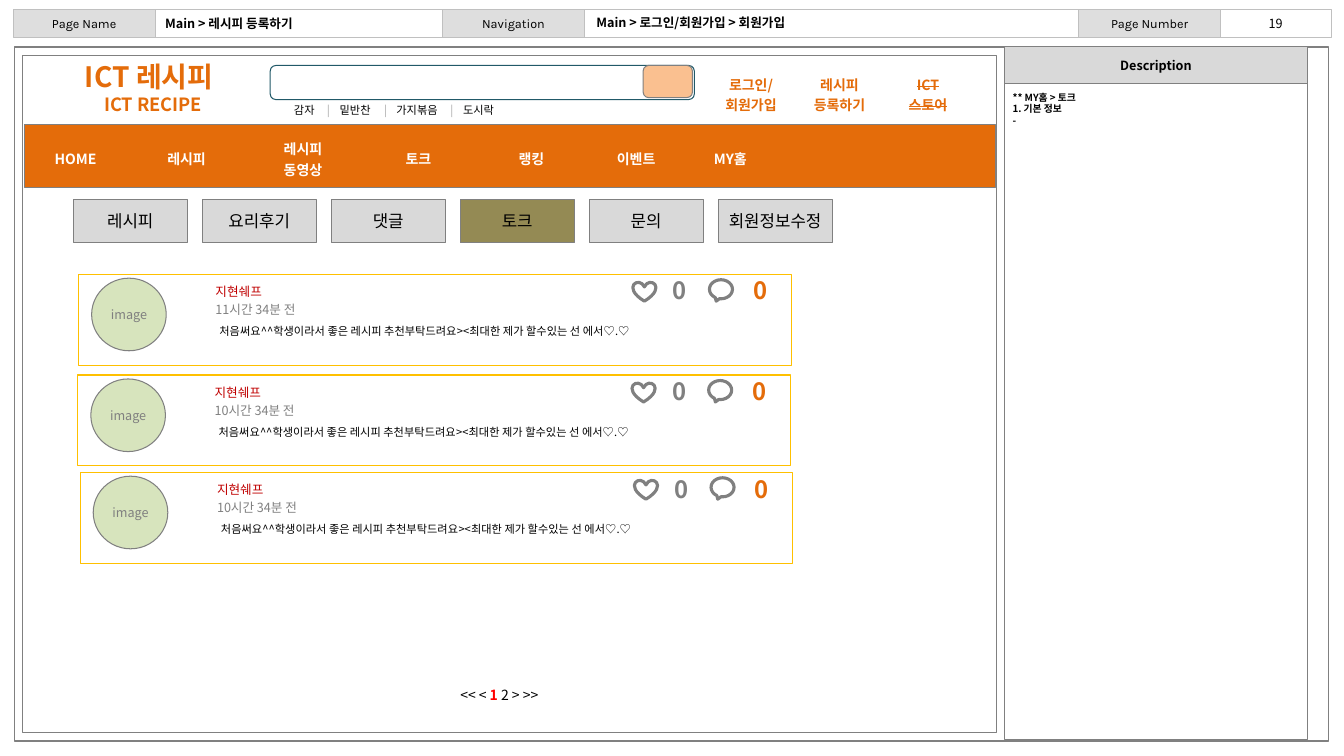
from lxml.etree import SubElement
from pptx import Presentation
from pptx.dml.color import RGBColor
from pptx.enum.shapes import MSO_SHAPE as Geometry
from pptx.enum.text import MSO_ANCHOR as Anchor, MSO_AUTO_SIZE as AutoSize, PP_ALIGN as Align
from pptx.oxml.ns import qn
from pptx.util import Cm, Pt

BLACK = RGBColor(0x00, 0x00, 0x00)
WHITE = RGBColor(0xFF, 0xFF, 0xFF)
GRAY = RGBColor(0x80, 0x80, 0x80)
SILVER = RGBColor(0xC0, 0xC0, 0xC0)
DIVIDER = RGBColor(0xA6, 0xA6, 0xA6)
LABEL_GRAY = RGBColor(0xDE, 0xDE, 0xDE)
BUTTON_GRAY = RGBColor(0xD9, 0xD9, 0xD9)
ORANGE = RGBColor(0xE4, 0x6C, 0x0A)
PEACH = RGBColor(0xFA, 0xC0, 0x90)
TEAL = RGBColor(0x21, 0x59, 0x68)
OLIVE = RGBColor(0x94, 0x8A, 0x54)
GOLD = RGBColor(0xFF, 0xC0, 0x00)
LIGHT_GREEN = RGBColor(0xD7, 0xE4, 0xBD)
DARK_RED = RGBColor(0xC0, 0x00, 0x00)
RED = RGBColor(0xFF, 0x00, 0x00)
KOREAN_FONT = "Noto Sans CJK KR"
LABEL_FONT = "Karla"
NO_TABLE_STYLE = "{2D5ABB26-0587-4C30-8999-92F81FD0307C}"


def add_box(shapes, geometry, at, fill=None, line=None, weight=0.75, anchor=Anchor.MIDDLE, tight=True):
    place = [Cm(length) for length in at]
    if geometry is None:
        box = shapes.add_textbox(*place)
    else:
        box = shapes.add_shape(geometry, *place)
        box.shadow.inherit = False
        if fill is None:
            box.fill.background()
        else:
            box.fill.solid()
            box.fill.fore_color.rgb = fill
        box.line.color.rgb = line
        box.line.width = Pt(weight)
    frame = box.text_frame
    frame.word_wrap = True
    frame.vertical_anchor = anchor
    if tight:
        frame.margin_left = frame.margin_right = Cm(0.1)
        frame.margin_top = frame.margin_bottom = 0
    return frame


def write(frame, lines, size, color=BLACK, bold=False, align=Align.LEFT, font=KOREAN_FONT):
    for index, line in enumerate(lines):
        paragraph = frame.paragraphs[0] if index == 0 else frame.add_paragraph()
        paragraph.alignment = align
        for text, run_color, run_bold in [(line, color, bold)] if isinstance(line, str) else line:
            run = paragraph.add_run()
            run.text = text
            run.font.size = Pt(size)
            run.font.bold = run_bold
            run.font.color.rgb = run_color
            run.font.name = font
            SubElement(run.font._element, qn("a:ea")).set("typeface", font)


deck = Presentation()
deck.slide_width, deck.slide_height = Cm(33.87), Cm(19.05)
slide = deck.slides.add_slide(deck.slide_layouts[5])
shapes = slide.shapes

add_box(shapes, Geometry.RECTANGLE, (0.36, 1.19, 33.12, 17.48), line=GRAY, weight=1)
add_box(shapes, Geometry.RECTANGLE, (0.41, 0.23, 33.15, 0.71), line=SILVER)
for left, label in [(0.33, "Page Name"), (11.15, "Navigation"), (27.18, "Page Number")]:
    label_box = add_box(shapes, Geometry.RECTANGLE, (left, 0.23, 3.58, 0.71), LABEL_GRAY, SILVER)
    write(label_box, [label], 9, align=Align.CENTER, font=LABEL_FONT)
page_number = add_box(shapes, None, (30.78, 0.28, 2.74, 0.64), anchor=Anchor.TOP, tight=False)
write(page_number, ["19"], 9, align=Align.CENTER)

title = shapes.title
title.left, title.top, title.width, title.height = Cm(3.91), Cm(0.25), Cm(7.24), Cm(0.69)
title.text_frame.auto_size = AutoSize.NONE
title.text_frame.vertical_anchor = Anchor.MIDDLE
write(title.text_frame, ["Main > 레시피 등록하기"], 9, bold=True)
breadcrumb = add_box(shapes, None, (14.78, 0.23, 7.24, 0.69), tight=False)
write(breadcrumb, ["Main > 로그인/회원가입 > 회원가입"], 9, bold=True)

add_box(shapes, Geometry.RECTANGLE, (0.58, 1.4, 24.54, 17.07), line=GRAY)
add_box(shapes, Geometry.RECTANGLE, (25.32, 1.19, 7.62, 17.45), line=GRAY)
description = add_box(shapes, Geometry.RECTANGLE, (25.32, 1.17, 7.62, 0.94), BUTTON_GRAY, GRAY)
write(description, ["Description"], 9, bold=True, align=Align.CENTER)
notes = add_box(shapes, None, (25.27, 2.18, 7.62, 9.83), anchor=Anchor.TOP, tight=False)
write(notes, ["** MY홈 > 토크", "1. 기본 정보", "-"], 7, bold=True)
for note in notes.paragraphs:
    indents = note._p.get_or_add_pPr()
    indents.set("marL", str(Cm(0.64)))
    indents.set("indent", str(-Cm(0.64)))

add_box(shapes, Geometry.RECTANGLE, (0.61, 3.15, 24.49, 1.57), ORANGE, GRAY)
site_name = add_box(shapes, None, (1.32, 1.42, 4.88, 1.55))
write(site_name, ["ICT 레시피", "ICT RECIPE"], 20, ORANGE, True, Align.CENTER)
tagline = site_name.paragraphs[1]
tagline.runs[0].font.size = Pt(13)
tagline._p.get_or_add_pPr().set("marL", str(Cm(0.2)))

add_box(shapes, Geometry.ROUNDED_RECTANGLE, (6.81, 1.65, 10.69, 0.86), WHITE, TEAL)
add_box(shapes, Geometry.ROUNDED_RECTANGLE, (16.21, 1.65, 1.24, 0.81), PEACH, GRAY)

menu = [["HOME"], ["레시피"], ["레시피", "동영상"], ["토크"], ["랭킹"], ["이벤트"], ["MY홈"]]
account_links = [["로그인/", "회원가입"], ["레시피", "등록하기"], ["ICT", "스토어"]]
for entries, left, top, widths, height, color, anchor in [
    (menu, 0.61, 3.23, [2.59, 3, 2.87, 2.95, 2.74, 2.54, 2.21], 1.55, WHITE, Anchor.MIDDLE),
    (account_links, 17.81, 1.75, [2.23] * 3, 1.09, ORANGE, Anchor.TOP),
]:
    table = shapes.add_table(1, len(entries), Cm(left), Cm(top), Cm(sum(widths)), Cm(height)).table
    table.first_row = table.horz_banding = False
    table._tbl.tblPr.find(qn("a:tableStyleId")).text = NO_TABLE_STYLE
    for column, width, cell, entry in zip(table.columns, widths, table.iter_cells(), entries):
        column.width = Cm(width)
        cell.fill.background()
        cell.vertical_anchor = anchor
        write(cell.text_frame, entry, 10, color, True, Align.CENTER)
for paragraph in table.cell(0, 2).text_frame.paragraphs:
    paragraph.runs[0].font._element.set("strike", "sngStrike")

keywords = add_box(shapes, None, (7.16, 2.49, 9.4, 0.61), anchor=Anchor.TOP, tight=False)
keyword_runs = [("감자", BLACK, False)]
for keyword in ["밑반찬", "가지볶음", "도시락"]:
    keyword_runs += [("\t|", DIVIDER, False), ("\t" + keyword, BLACK, False)]
write(keywords, [keyword_runs], 8)
tab_stops = SubElement(keywords.paragraphs[0]._p.get_or_add_pPr(), qn("a:tabLst"))
for position in [0.83, 1.15, 2.27, 2.58, 3.94, 4.26]:
    SubElement(tab_stops, qn("a:tab"), pos=str(Cm(position)), algn="l")

for index, tab in enumerate(["레시피", "요리후기", "댓글", "토크", "문의", "회원정보수정"]):
    fill = OLIVE if tab == "토크" else BUTTON_GRAY
    tab_box = add_box(shapes, Geometry.RECTANGLE, (1.85 + 3.25 * index, 5.03, 2.87, 1.09), fill, GRAY)
    write(tab_box, [tab], 12, align=Align.CENTER)

pages = add_box(shapes, None, (11.35, 17.17, 3.02, 0.69), anchor=Anchor.TOP, tight=False)
pages.word_wrap = False
write(pages, [[("<< < ", BLACK, False), ("1 ", RED, True), ("2 > >>", BLACK, False)]], 10)

for left, top, hours in [(1.98, 6.91, 11), (1.96, 9.45, 10), (2.02, 11.9, 10)]:
    card = shapes.add_group_shape().shapes
    add_box(card, Geometry.RECTANGLE, (left, top, 17.96, 2.29), line=GOLD)
    avatar = add_box(card, Geometry.OVAL, (left + 0.33, top + 0.1, 1.88, 1.83), LIGHT_GREEN, GRAY)
    write(avatar, ["image"], 9, GRAY, align=Align.CENTER)
    author = add_box(card, None, (left + 3.35, top + 0.05, 2.9, 0.76))
    write(author, ["지현쉐프"], 9, DARK_RED)
    posted = add_box(card, None, (left + 3.35, top + 0.51, 2.9, 0.76))
    write(posted, [f"{hours}시간 34분 전"], 9, GRAY)
    add_box(card, Geometry.HEART, (left + 13.97, top + 0.2, 0.58, 0.48), line=GRAY, weight=2.25)
    add_box(card, Geometry.OVAL_CALLOUT, (left + 15.9, top + 0.14, 0.58, 0.48), line=GRAY, weight=2.25)
    for offset, color in [(14.88, GRAY), (16.9, ORANGE)]:
        count = add_box(card, None, (left + offset, top + 0.17, 0.53, 0.48))
        write(count, ["0"], 17, color, True, Align.CENTER)
    message = add_box(card, None, (left + 3.3, top + 1.14, 14.15, 0.61), anchor=Anchor.TOP, tight=False)
    write(message, ["처음써요^^학생이라서 좋은 레시피 추천부탁드려요><최대한 제가 할수있는 선 에서♡.♡"], 8)

deck.save("out.pptx")
